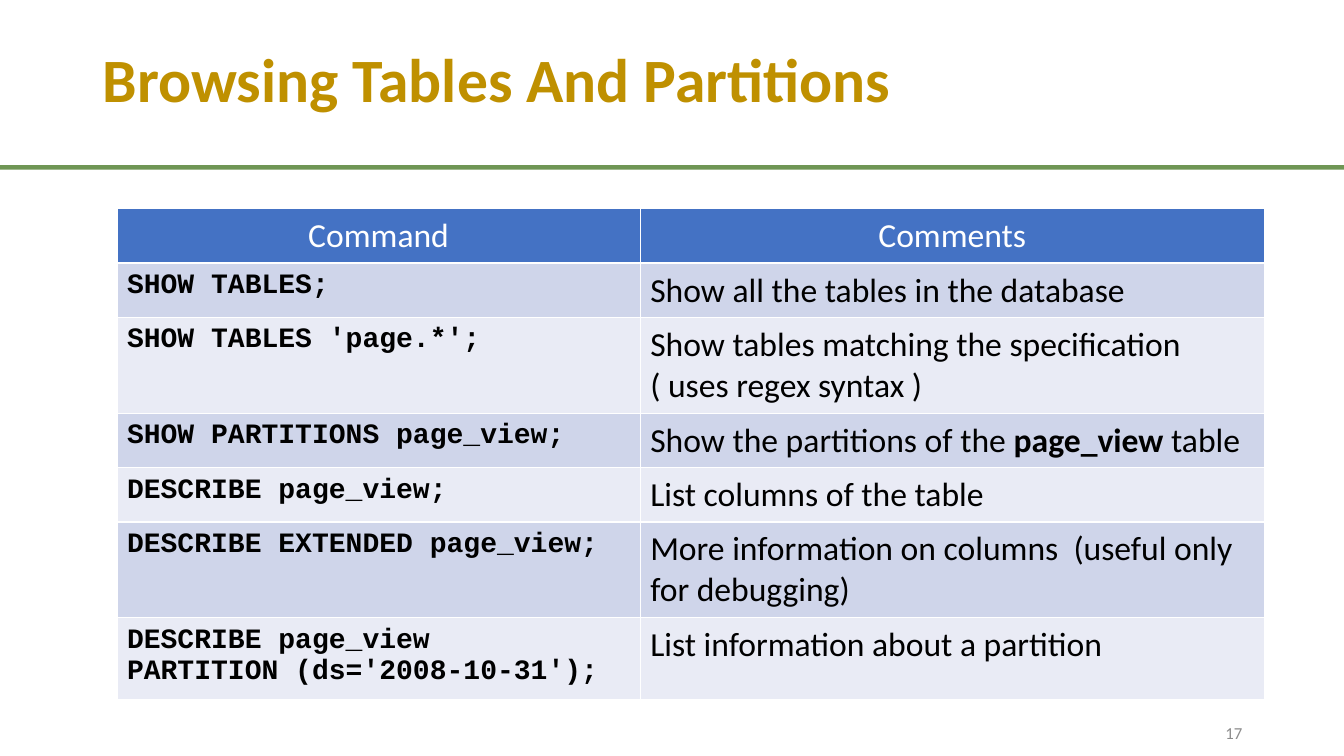
"""Build a slide with a table of commands for browsing tables and partitions."""
from lxml import etree
from pptx import Presentation
from pptx.dml.color import RGBColor
from pptx.enum import shapes, text
from pptx.oxml import ns
from pptx.util import Inches, Pt

GOLD = RGBColor(0xBF, 0x90, 0x00)
GREEN = RGBColor(0x54, 0x82, 0x35)
BLUE = RGBColor(0x44, 0x72, 0xC4)
BANDS = [RGBColor(0xE9, 0xEB, 0xF5), RGBColor(0xCF, 0xD5, 0xEA)]
WHITE = RGBColor(0xFF, 0xFF, 0xFF)
BLACK = RGBColor(0x00, 0x00, 0x00)
GRAY = RGBColor(0x8C, 0x8C, 0x8C)

ROWS = [
    (0.54, ["SHOW TABLES;"], [("Show all the tables in the database", False)]),
    (0.95, ["SHOW TABLES 'page.*';"],
     [("Show tables matching the specification ( uses regex syntax )", False)]),
    (0.54, ["SHOW PARTITIONS page_view;"],
     [("Show the partitions of the ", False), ("page_view", True), (" table", False)]),
    (0.54, ["DESCRIBE page_view;"], [("List columns of the table", False)]),
    (0.95, ["DESCRIBE EXTENDED page_view;"],
     [("More information on columns  (useful only for debugging)", False)]),
    (0.75, ["DESCRIBE page_view", "PARTITION (ds='2008-10-31');"],
     [("List information about a partition", False)]),
]


def add_run(paragraph, words, size, color, bold=False, font="Calibri"):
    run = paragraph.add_run()
    run.text = words
    run.font.name = font
    run.font.size = Pt(size)
    run.font.bold = bold
    run.font.color.rgb = color


def add_text_box(slide, left, top, width, height):
    frame = slide.shapes.add_textbox(
        Inches(left), Inches(top), Inches(width), Inches(height)).text_frame
    frame.word_wrap = True
    frame.vertical_anchor = text.MSO_ANCHOR.MIDDLE
    return frame.paragraphs[0]


presentation = Presentation()
presentation.slide_width = Inches(13.33)
presentation.slide_height = Inches(7.5)
slide = presentation.slides.add_slide(presentation.slide_layouts[6])

rule = slide.shapes.add_connector(
    shapes.MSO_CONNECTOR.STRAIGHT, 0, Inches(1.66), Inches(13.33), Inches(1.66))
rule.line.color.rgb = GREEN
rule.line.width = Pt(3.25)
rule_color = rule.line.fill._xPr.find(".//" + ns.qn("a:srgbClr"))
etree.SubElement(rule_color, ns.qn("a:alpha")).set("val", "83000")
etree.SubElement(rule._element.spPr, ns.qn("a:effectLst"))

title = add_text_box(slide, 0.92, 0.09, 9.87, 1.45)
title.line_spacing = 0.9
add_run(title, "Browsing Tables And Partitions", 44, GOLD, bold=True)

table = slide.shapes.add_table(
    len(ROWS) + 1, 2, Inches(1.16), Inches(2.07), Inches(11.38), Inches(4.8)).table
table.columns[0].width = Inches(5.19)
table.columns[1].width = Inches(6.19)
table.rows[0].height = Inches(0.54)
for cell in table.iter_cells():
    cell.margin_left = cell.margin_right = Inches(0.1)
    cell.margin_top = cell.margin_bottom = Inches(0.07)
    cell.fill.solid()

for cell, heading in zip(table.rows[0].cells, ["Command", "Comments"]):
    cell.fill.fore_color.rgb = BLUE
    paragraph = cell.text_frame.paragraphs[0]
    paragraph.alignment = text.PP_ALIGN.CENTER
    add_run(paragraph, heading, 24, WHITE)

for index, (height, command_lines, comment_runs) in enumerate(ROWS, start=1):
    table.rows[index].height = Inches(height)
    command, comment = table.rows[index].cells
    for cell in (command, comment):
        cell.fill.fore_color.rgb = BANDS[index % 2]
    for number, line in enumerate(command_lines):
        frame = command.text_frame
        paragraph = frame.add_paragraph() if number else frame.paragraphs[0]
        add_run(paragraph, line, 20, BLACK, bold=True, font="Courier New")
    for words, bold in comment_runs:
        add_run(comment.text_frame.paragraphs[0], words, 24, BLACK, bold)

page_number = add_text_box(slide, 9.42, 7.07, 3, 0.4)
page_number.alignment = text.PP_ALIGN.RIGHT
add_run(page_number, "17", 12, GRAY)

presentation.save("out.pptx")
